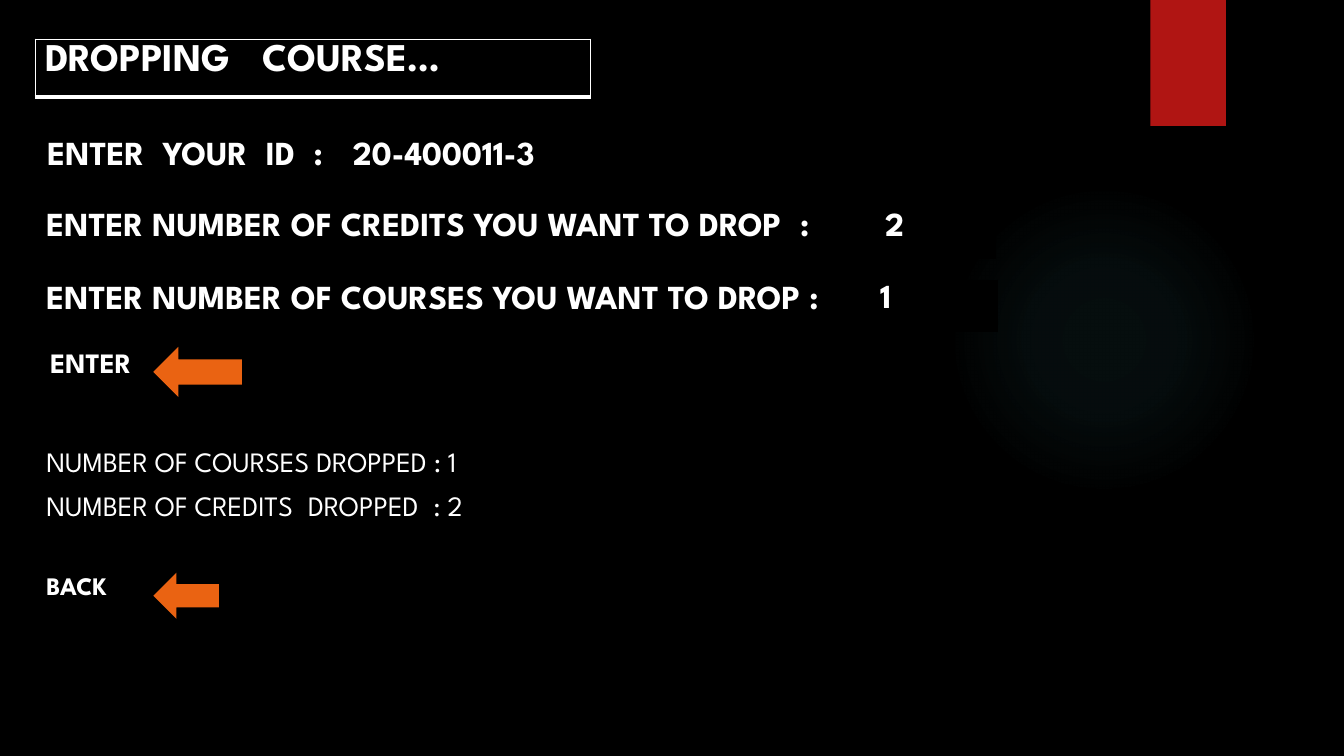
from dataclasses import dataclass

import pptx
import pptx.dml.color
import pptx.enum.shapes
import pptx.oxml
import pptx.oxml.ns
import pptx.util

Inches = pptx.util.Inches
SHAPES = pptx.enum.shapes.MSO_SHAPE


@dataclass(frozen=True)
class Theme:
    font: str = "League Spartan"
    background: str = "000000"
    text: str = "FFFFFF"
    ribbon: str = "B01513"
    arrow: str = "EA6312"
    glow: str = "50B9C1"
    title_size: int = 28
    prompt_size: int = 24
    result_size: int = 20
    back_size: int = 18
    space_em: float = 0.28  # width of one space in the font


THEME = Theme()


@dataclass(frozen=True)
class Field:
    """A one-column table; "~" in a line marks a widened word gap."""
    lines: tuple[str, ...]
    left: float
    top: float
    width: float
    height: float
    size: int = THEME.prompt_size
    bold: bool = True
    indent: float = 0.1
    gap_spaces: int = 2
    border: str = THEME.background
    border_width: float = 1
    bottom_width: float = 1


@dataclass(frozen=True)
class Arrow:
    top: float
    width: float
    height: float
    left: float = 1.52


FIELDS = (
    Field(("DROPPING~COURSE…",), 0.35, 0.39, 5.51, 0.57, size=THEME.title_size,
          gap_spaces=3, border=THEME.text, bottom_width=3),
    Field(("ENTER~YOUR~ID~:",), 0.37, 1.36, 3.3, 0.5),
    Field(("20-400011-3",), 3.33, 1.36, 2.41, 0.5, indent=0.17),
    Field(("ENTER NUMBER OF CREDITS YOU WANT TO DROP~:",), 0.36, 2.06, 8.25, 0.5),
    Field(("2",), 8.41, 2.06, 1.46, 0.5, indent=0.37),
    Field(("ENTER NUMBER OF COURSES YOU WANT TO DROP :",), 0.36, 2.79, 8.22, 0.5),
    Field(("1",), 8.54, 2.78, 1.35, 0.51, indent=0.19),
    Field(("ENTER",), 0.4, 3.46, 1.03, 0.48, size=THEME.result_size),
    Field(("NUMBER OF COURSES DROPPED : 1", "NUMBER OF CREDITS~DROPPED~: 2"),
          0.36, 4.44, 5.45, 0.88, size=THEME.result_size, bold=False),
    Field(("BACK",), 0.36, 5.68, 1.07, 0.4, size=THEME.back_size),
)
ARROWS = (Arrow(3.44, 0.88, 0.5), Arrow(5.68, 0.65, 0.46))


def rgb(value: str) -> pptx.dml.color.RGBColor:
    return pptx.dml.color.RGBColor.from_string(value)


def write_text(paragraph, text: str, *, size: int, bold: bool, gap_spaces: int) -> None:
    """Write one line, widening the space at each "~"."""
    def add(part: str):
        run = paragraph.add_run()
        run.text = part
        run.font.name = THEME.font
        run.font.size = pptx.util.Pt(size)
        run.font.bold = bold
        run.font.color.rgb = rgb(THEME.text)
        return run

    for index, phrase in enumerate(text.split("~")):
        if index:
            extra = (gap_spaces - 1) * THEME.space_em * size
            add(" ").font._element.set("spc", str(round(extra * 100)))
        add(phrase)


def set_borders(cell, field: Field) -> None:
    properties = cell._tc.get_or_add_tcPr()
    for side in "LRTB":
        points = field.bottom_width if side == "B" else field.border_width
        properties.append(pptx.oxml.parse_xml(
            f'<a:ln{side} {pptx.oxml.ns.nsdecls("a")} w="{pptx.util.Pt(points)}">'
            f'<a:solidFill><a:srgbClr val="{field.border}"/></a:solidFill></a:ln{side}>'))


def add_field(slide, field: Field) -> None:
    table = slide.shapes.add_table(
        len(field.lines), 1, Inches(field.left), Inches(field.top),
        Inches(field.width), Inches(field.height)).table
    table.first_row = False
    table.horz_banding = False
    for row, line in enumerate(field.lines):
        cell = table.cell(row, 0)
        cell.margin_left = Inches(field.indent)
        set_borders(cell, field)
        cell.fill.solid()
        cell.fill.fore_color.rgb = rgb(THEME.background)
        write_text(cell.text_frame.paragraphs[0], line, size=field.size,
                   bold=field.bold, gap_spaces=field.gap_spaces)


def add_block(slide, kind, left: float, top: float, width: float, height: float,
              color: str):
    block = slide.shapes.add_shape(
        kind, Inches(left), Inches(top), Inches(width), Inches(height))
    block.shadow.inherit = False
    block.fill.solid()
    block.fill.fore_color.rgb = rgb(color)
    block.line.fill.background()
    return block


def add_glow(slide) -> None:
    glow = add_block(slide, SHAPES.OVAL, 9.41, 1.83, 3.08, 3.08, THEME.glow)
    stops = "".join(
        f'<a:gs pos="{position * 1000}"><a:srgbClr val="{THEME.glow}">'
        f'<a:alpha val="{alpha * 1000}"/></a:srgbClr></a:gs>'
        for position, alpha in ((0, 7), (36, 6), (69, 0)))
    gradient = pptx.oxml.parse_xml(
        f'<a:gradFill {pptx.oxml.ns.nsdecls("a")}><a:gsLst>{stops}</a:gsLst>'
        '<a:path path="circle"><a:fillToRect l="50000" t="50000" r="50000" b="50000"/>'
        '</a:path></a:gradFill>')
    properties = glow._element.spPr
    properties.replace(properties.find(pptx.oxml.ns.qn("a:solidFill")), gradient)


def main() -> None:
    deck = pptx.Presentation()
    deck.slide_width, deck.slide_height = Inches(13.33), Inches(7.5)
    slide = deck.slides.add_slide(deck.slide_layouts[6])
    slide.background.fill.solid()
    slide.background.fill.fore_color.rgb = rgb(THEME.background)

    # Backdrop: soft glow and red ribbon
    add_glow(slide)
    add_block(slide, SHAPES.RECTANGLE, 11.41, 0, 0.75, 1.25, THEME.ribbon)

    # Title, prompts, answers and results
    for field in FIELDS:
        add_field(slide, field)

    # Arrows pointing back at ENTER and BACK
    for arrow in ARROWS:
        pointer = add_block(slide, SHAPES.RIGHT_ARROW, arrow.left, arrow.top,
                            arrow.width, arrow.height, THEME.arrow)
        pointer.rotation = 180

    deck.save("out.pptx")


if __name__ == "__main__":
    main()
